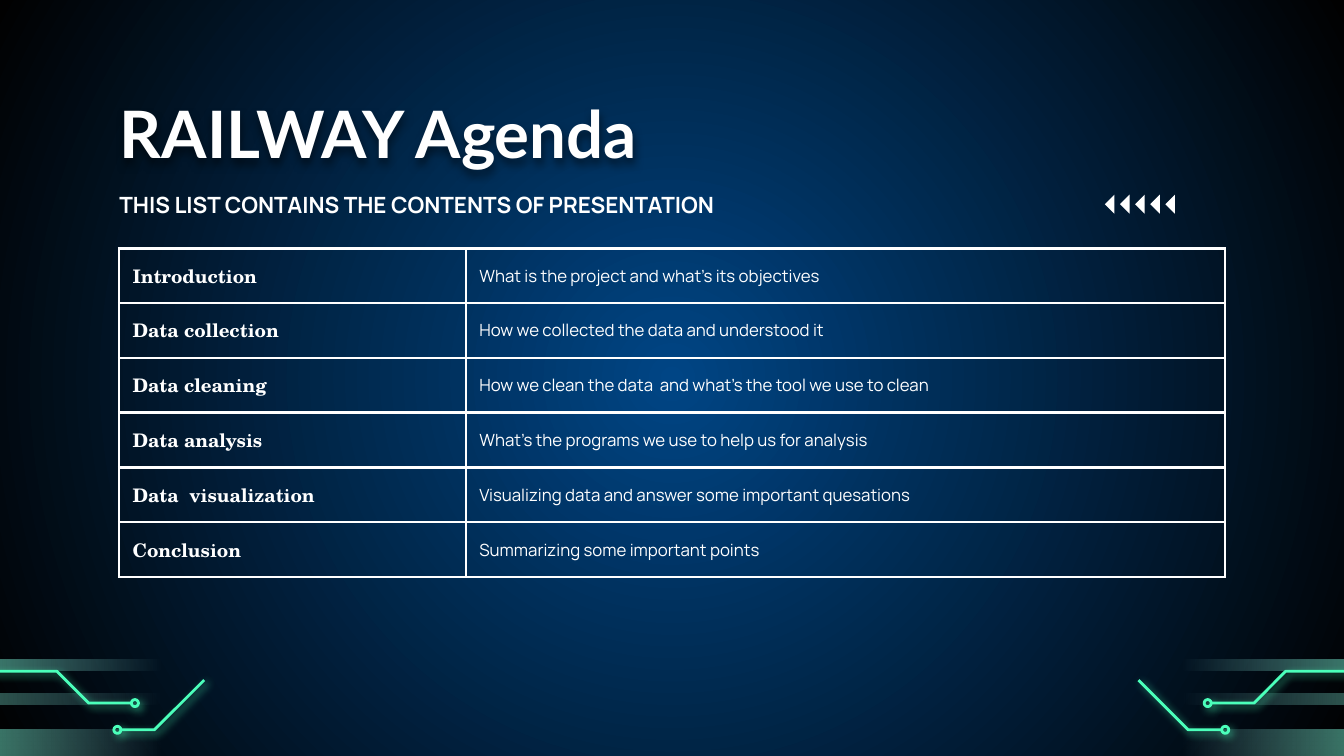
from dataclasses import dataclass

from lxml.etree import SubElement
from pptx import Presentation
from pptx.dml.color import RGBColor
from pptx.enum.shapes import MSO_SHAPE as Shape
from pptx.enum.text import MSO_ANCHOR as Anchor, MSO_AUTO_SIZE as AutoSize, PP_ALIGN as Align
from pptx.oxml import parse_xml
from pptx.oxml.ns import nsdecls, qn
from pptx.util import Pt


@dataclass(frozen=True)
class Theme:
    white: str = "FFFFFF"
    black: str = "000000"
    glow: str = "4BFFBA"
    bar_stops: tuple = ((0, "43E0A4", 100), (100, "A6FFFF", 0))
    night_stops: tuple = ((0, "004585", 100), (100, "010101", 100))
    title_font: str = "Lato"
    body_font: str = "Manrope"
    topic_font: str = "TeX Gyre Schola"
    title_size: float = 35
    subtitle_size: float = 12
    topic_size: float = 10
    body_size: float = 9
    line_width: float = 1.5


WIDTH, HEIGHT = 720, 405
MIRROR = 719.3
LINEAR = '<a:lin ang="0" scaled="0"/>'
RADIAL = '<a:path path="circle"><a:fillToRect l="50000" t="50000" r="50000" b="50000"/></a:path>'

AGENDA = [
    ("Introduction", "What is the project and what’s its objectives"),
    ("Data collection", "How we collected the data and understood it"),
    ("Data cleaning", "How we clean the data  and what’s the tool we use to clean"),
    ("Data analysis", "What’s the programs we use to help us for analysis"),
    ("Data  visualization", "Visualizing data and answer some important quesations"),
    ("Conclusion", "Summarizing some important points"),
]
BARS = [(-176.4, 371.5, 262.8, 6), (-93.6, 390.6, 180, 24.5), (-93.6, 353.5, 180, 6)]
TRACES = [
    [(109.4, 364.4), (82.8, 391), (64.1, 391)],
    [(-164.2, 359.7), (-31, 359.7), (30.6, 359.7), (47.5, 376.7), (70.6, 376.7)],
]
NODES = [(62.9, 391), (72.3, 376.7)]


class AgendaSlide:
    def __init__(self, page, theme):
        self.page = page
        self.theme = theme

    def gradient(self, parent, stops, direction):
        marks = "".join(
            f'<a:gs pos="{place * 1000}"><a:srgbClr val="{color}">'
            f'<a:alpha val="{alpha * 1000}"/></a:srgbClr></a:gs>'
            for place, color, alpha in stops
        )
        fill = parse_xml(
            f'<a:gradFill {nsdecls("a")} rotWithShape="1"><a:gsLst>{marks}</a:gsLst>{direction}</a:gradFill>'
        )
        parent.replace(parent.find(qn("a:solidFill")), fill)

    def shadow(self, shape, color, alpha, blur, distance, angle):
        shape.shadow.inherit = False
        effects = shape.element.spPr.find(qn("a:effectLst"))
        outer = SubElement(effects, qn("a:outerShdw"), blurRad=str(Pt(blur)), dist=str(Pt(distance)),
                           dir=str(angle * 60000), algn="bl", rotWithShape="0")
        tone = SubElement(outer, qn("a:srgbClr"), val=color)
        SubElement(tone, qn("a:alpha"), val=str(alpha * 1000))

    def text(self, frame, text, font, size, bold):
        frame.text = text
        para = frame.paragraphs[0]
        para.alignment = Align.LEFT
        for span in para.runs:
            span.font.name = font
            span.font.size = Pt(size)
            span.font.bold = bold
            span.font.color.rgb = RGBColor.from_string(self.theme.white)

    def background(self):
        self.page.background.fill.solid()
        self.gradient(self.page.element.find(".//" + qn("p:bgPr")), self.theme.night_stops, RADIAL)

    def shape(self, kind, left, top, width, height):
        shape = self.page.shapes.add_shape(kind, Pt(left), Pt(top), Pt(width), Pt(height))
        shape.shadow.inherit = False
        shape.line.fill.background()
        return shape

    def bar(self, left, top, width, height, mirrored):
        if mirrored:
            left = MIRROR - left - width
        bar = self.shape(Shape.RECTANGLE, left, top, width, height)
        bar.fill.solid()
        stops = self.theme.bar_stops
        if mirrored:
            stops = [(100 - place, color, alpha) for place, color, alpha in reversed(stops)]
        self.gradient(bar.element.spPr, stops, LINEAR)

    def glowing_outline(self, shape):
        shape.fill.background()
        shape.line.color.rgb = RGBColor.from_string(self.theme.glow)
        shape.line.width = Pt(self.theme.line_width)
        self.shadow(shape, self.theme.glow, 60, 4.5, 2.2, 40)

    def trace(self, points, mirrored):
        corners = [(Pt(MIRROR - x if mirrored else x), Pt(y)) for x, y in points]
        builder = self.page.shapes.build_freeform(*corners[0])
        builder.add_line_segments(corners[1:], close=False)
        self.glowing_outline(builder.convert_to_shape())

    def node(self, x, y, mirrored, radius=1.9):
        center = MIRROR - x if mirrored else x
        self.glowing_outline(self.shape(Shape.OVAL, center - radius, y - radius, 2 * radius, 2 * radius))

    def arrow(self, left, top, side):
        arrow = self.shape(Shape.RIGHT_TRIANGLE, left, top, side, side)
        arrow.rotation = 45
        arrow.fill.solid()
        arrow.fill.fore_color.rgb = RGBColor.from_string(self.theme.white)

    def title(self, text, left, top, width, height):
        title = self.page.shapes.title
        title.left, title.top, title.width, title.height = Pt(left), Pt(top), Pt(width), Pt(height)
        frame = title.text_frame
        frame.auto_size = AutoSize.NONE
        frame.vertical_anchor = Anchor.TOP
        frame.margin_left = frame.margin_right = frame.margin_top = frame.margin_bottom = Pt(7.2)
        self.text(frame, text, self.theme.title_font, self.theme.title_size, True)
        self.shadow(title, self.theme.black, 50, 4.5, 3, 90)

    def subtitle(self, text, left, top, width, height):
        box = self.page.shapes.add_textbox(Pt(left), Pt(top), Pt(width), Pt(height))
        frame = box.text_frame
        frame.word_wrap = True
        frame.vertical_anchor = Anchor.MIDDLE
        frame.margin_left = frame.margin_top = frame.margin_bottom = Pt(7.2)
        frame.margin_right = 0
        self.text(frame, text, self.theme.body_font, self.theme.subtitle_size, True)

    def cell(self, cell, text, font, size, bold):
        cell.vertical_anchor = Anchor.MIDDLE
        cell.margin_left = cell.margin_right = Pt(7.2)
        cell.margin_top = cell.margin_bottom = 0
        self.text(cell.text_frame, text, font, size, bold)
        cell.fill.background()
        properties = cell._tc.get_or_add_tcPr()
        for order, side in enumerate(("lnL", "lnR", "lnT", "lnB")):
            properties.insert(order, parse_xml(
                f'<a:{side} {nsdecls("a")} w="{Pt(self.theme.line_width)}"><a:solidFill>'
                f'<a:srgbClr val="{self.theme.white}"/></a:solidFill></a:{side}>'
            ))

    def table(self, rows, left, top, columns, row_height):
        theme = self.theme
        table = self.page.shapes.add_table(len(rows), len(columns), Pt(left), Pt(top),
                                           Pt(sum(columns)), Pt(row_height * len(rows))).table
        table.first_row = table.horz_banding = False
        for column, width in zip(table.columns, columns):
            column.width = Pt(width)
        for row, (topic, detail) in zip(table.rows, rows):
            row.height = Pt(row_height)
            self.cell(row.cells[0], topic, theme.topic_font, theme.topic_size, True)
            self.cell(row.cells[1], detail, theme.body_font, theme.body_size, False)


def main():
    deck = Presentation()
    deck.slide_width, deck.slide_height = Pt(WIDTH), Pt(HEIGHT)
    agenda = AgendaSlide(deck.slides.add_slide(deck.slide_layouts[5]), Theme())
    agenda.background()
    for mirrored in (False, True):
        for bar in BARS:
            agenda.bar(*bar, mirrored)
        for points in TRACES:
            agenda.trace(points, mirrored)
        for x, y in NODES:
            agenda.node(x, y, mirrored)
    agenda.title("RAILWAY Agenda", 56.9, 42.5, 607, 45.4)
    agenda.table(AGENDA, 63.8, 133.1, (185.8, 406.8), 29.35)
    agenda.subtitle("THIS LIST CONTAINS THE CONTENTS OF PRESENTATION", 56.9, 97.2, 527, 24.5)
    for index in range(5):
        agenda.arrow(593.4 + 8.1 * index, 105.8, 7.2)
    deck.save("out.pptx")


if __name__ == "__main__":
    main()
